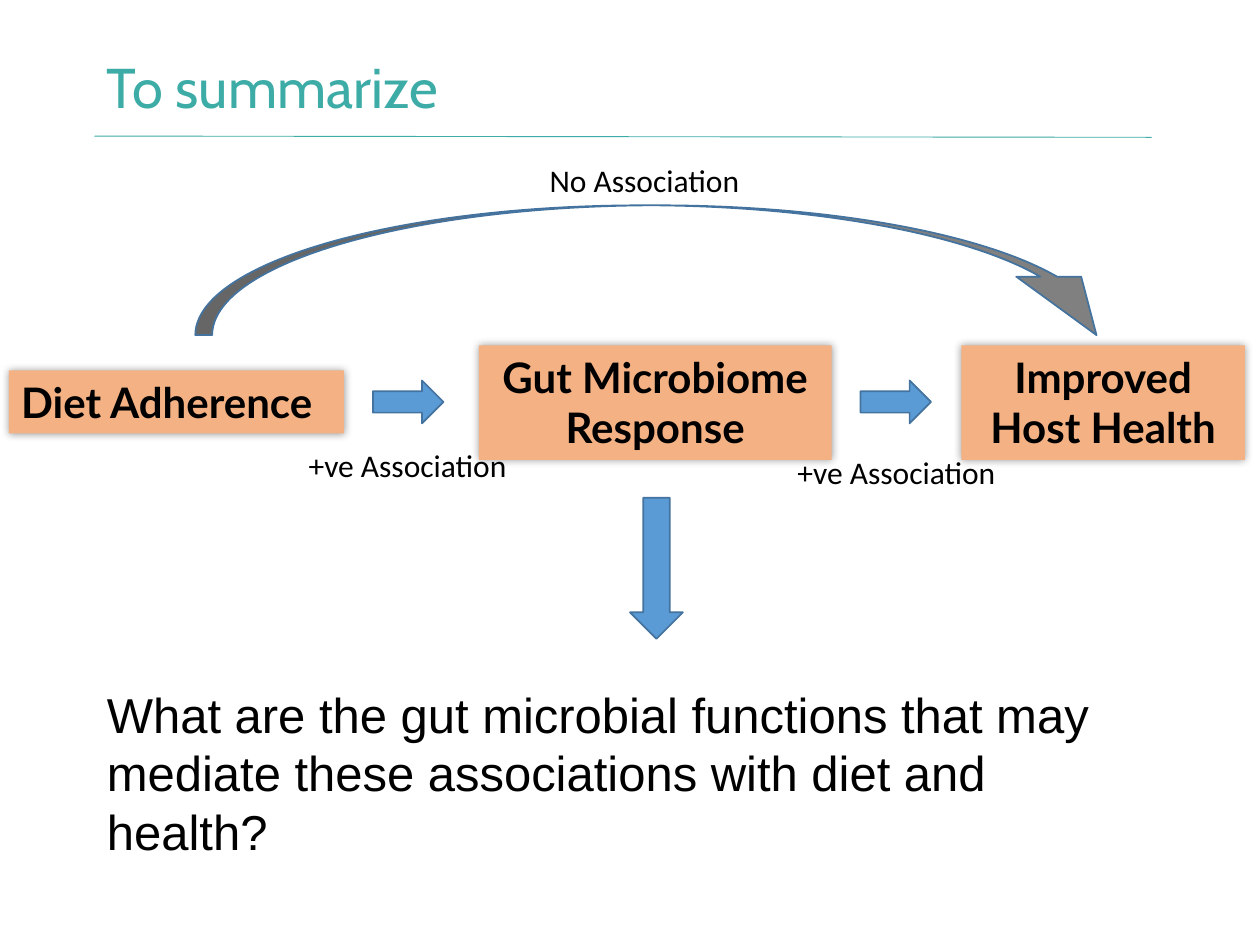
from lxml import etree
from pptx import Presentation
from pptx import util as u
from pptx.dml.color import RGBColor
from pptx.enum import shapes, text
from pptx.oxml import parse_xml
from pptx.oxml.ns import nsdecls, qn

MSO = shapes.MSO_SHAPE
LEFT, CENTER = text.PP_ALIGN.LEFT, text.PP_ALIGN.CENTER
TOP, MIDDLE = text.MSO_ANCHOR.TOP, text.MSO_ANCHOR.MIDDLE


def rgb(color):
    return RGBColor.from_string(color)


def write(sp, lines, font="Calibri", size=18, color="000000", bold=False,
          align=CENTER, anchor=TOP, wrap=True, spacing=None):
    tf = sp.text_frame
    tf.word_wrap = wrap
    tf.vertical_anchor = anchor
    for i, line in enumerate(lines.split("\n")):
        p = tf.add_paragraph() if i else tf.paragraphs[0]
        p.alignment = align
        if spacing:
            p.line_spacing = spacing
        r = p.add_run()
        r.text = line
        r.font.name, r.font.size, r.font.bold = font, u.Pt(size), bold
        r.font.color.rgb = rgb(color)


prs = Presentation()
prs.slide_width, prs.slide_height = u.Inches(10), u.Inches(7.5)
s = prs.slides.add_slide(prs.slide_layouts[6])

# Rule under the title
rule = s.shapes.add_connector(shapes.MSO_CONNECTOR.STRAIGHT, u.Inches(0.75),
                              u.Inches(1.08), u.Inches(9.14), u.Inches(1.09))
rule.line.color.rgb = rgb("3DACA7")
rule.line.width = u.Pt(0.5)
etree.SubElement(rule._element.spPr, qn("a:effectLst"))

# Title
title = s.shapes.add_textbox(*map(u.Inches, (0.75, 0.35, 7.49, 0.73)))
write(title, "To summarize", font="Cabin", size=32, color="3DACA7",
      align=LEFT, anchor=MIDDLE, spacing=0.9)

# Boxes of the chain, each with a soft glow-like shadow
for lines, at, align, wrap in [
    ("Diet Adherence", (0.07, 2.94, 2.66, 0.5), LEFT, False),
    ("Gut Microbiome\nResponse", (3.8, 2.74, 2.8, 0.91), CENTER, False),
    ("Improved Host Health", (7.63, 2.74, 2.25, 0.91), CENTER, True),
]:
    sp = s.shapes.add_shape(MSO.RECTANGLE, *map(u.Inches, at))
    sp.fill.solid()
    sp.fill.fore_color.rgb = rgb("F4B183")
    sp.line.fill.background()
    sp._element.spPr.append(parse_xml(
        f'<a:effectLst {nsdecls("a")}><a:outerShdw blurRad="{u.Pt(5)}" '
        'dist="0" dir="0" algn="ctr" rotWithShape="0"><a:srgbClr val="000000">'
        '<a:alpha val="40000"/></a:srgbClr></a:outerShdw></a:effectLst>'))
    write(sp, lines, font="Lato", size=24, bold=True, align=align, wrap=wrap)

# Arrows: two along the chain, the arc above, one down to the question
for kind, at, fill, adjust in [
    (MSO.RIGHT_ARROW, (2.96, 3.02, 0.56, 0.34), "5B9BD5", ()),
    (MSO.RIGHT_ARROW, (6.83, 3.02, 0.56, 0.34), "5B9BD5", ()),
    (MSO.CURVED_DOWN_ARROW, (1.55, 1.63, 7.41, 1.03), "808080", (0.13, 0.5, 0.45)),
    (MSO.DOWN_ARROW, (5, 3.95, 0.42, 1.12), "5B9BD5", ()),
]:
    sp = s.shapes.add_shape(kind, *map(u.Inches, at))
    sp.shadow.inherit = False
    sp.fill.solid()
    sp.fill.fore_color.rgb = rgb(fill)
    sp.line.color.rgb = rgb("43739E")
    sp.line.width = u.Pt(1)
    for i, value in enumerate(adjust):
        sp.adjustments[i] = value

# Arrow labels
for label, x, y in [("No Association", 3.63, 1.23),
                    ("+ve Association", 1.75, 3.49),
                    ("+ve Association", 5.63, 3.55)]:
    sp = s.shapes.add_textbox(*map(u.Inches, (x, y, 2.97, 0.4)))
    write(sp, label)

# Closing question
question = s.shapes.add_textbox(*map(u.Inches, (0.75, 5.38, 8.51, 1.51)))
write(question, "What are the gut microbial functions that may mediate these "
      "associations with diet and health?", font="Arial", size=28, align=LEFT)

prs.save("out.pptx")
